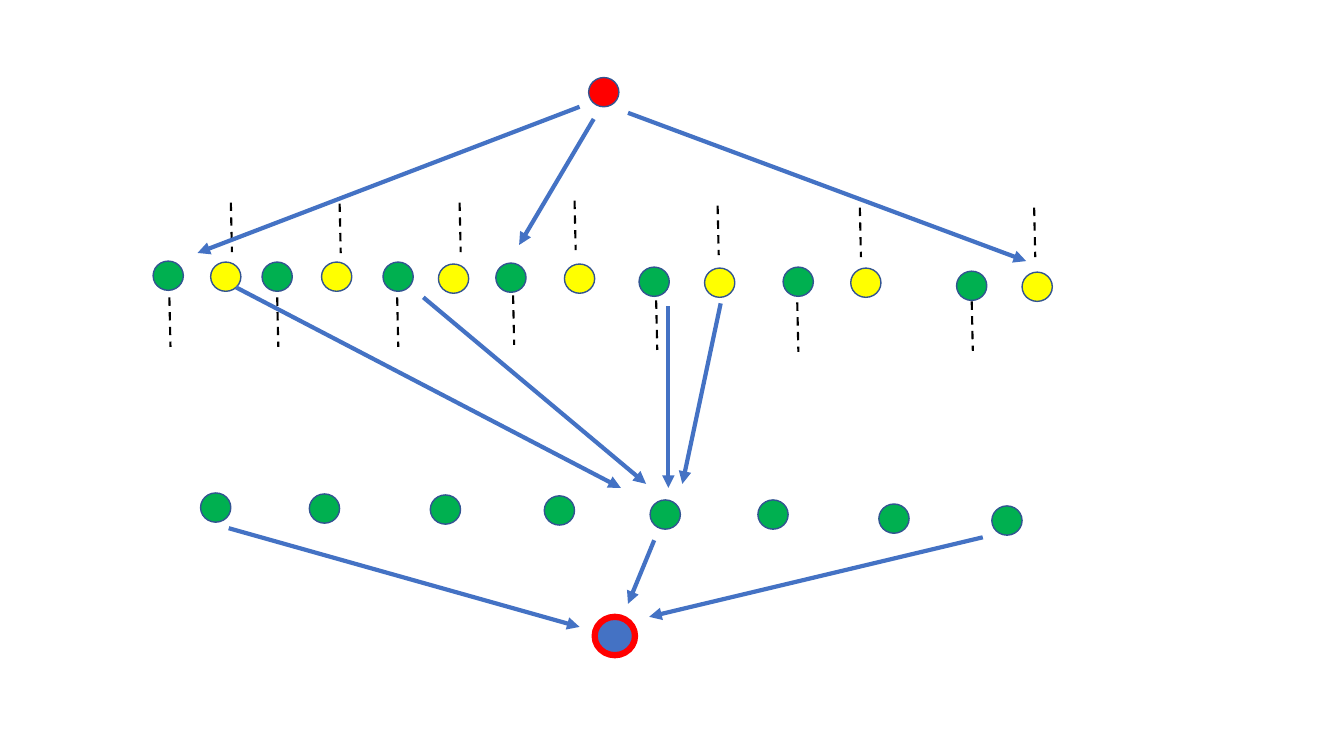
from lxml.etree import SubElement
from pptx import Presentation
from pptx.dml.color import RGBColor
from pptx.enum.dml import MSO_LINE
from pptx.enum.shapes import MSO_CONNECTOR, MSO_SHAPE
from pptx.oxml.ns import qn
from pptx.util import Pt

RED = RGBColor(0xFF, 0x00, 0x00)
GREEN = RGBColor(0x00, 0xB0, 0x50)
YELLOW = RGBColor(0xFF, 0xFF, 0x00)
BLUE = RGBColor(0x44, 0x72, 0xC4)
NAVY = RGBColor(0x32, 0x54, 0x91)
BLACK = RGBColor(0x00, 0x00, 0x00)

# Left and top of each node; the middle layer alternates green and yellow.
SOURCE = (420.5, 55.4)
MIDDLE_NODES = [
    (109.4, 186.5), (150.5, 187.2), (187.2, 187.2), (229.7, 187.2),
    (273.6, 187.2), (313.2, 188.6), (354.2, 187.9), (403.2, 188.6),
    (456.5, 190.8), (503.3, 191.5), (559.4, 190.8), (607.7, 191.5),
    (683.3, 193.7), (730.1, 194.4),
]
LOWER_NODES = [
    (143.3, 352.1), (221, 352.8), (307.4, 353.5), (388.8, 354.2),
    (464.4, 357.1), (541.4, 357.1), (627.8, 360), (708.5, 361.4),
]
SINK = (424.8, 440.6)

# Upper end of each dashed stub.
STUBS_BELOW_GREEN = [
    (121, 212.4), (198, 212.4), (283.7, 212.4), (366.5, 211),
    (468.7, 214.6), (569.5, 216), (694.1, 215.3),
]
STUBS_ABOVE_YELLOW = [
    (164.9, 144.7), (242.6, 145.4), (328.3, 144.7), (410.4, 143.3),
    (512.6, 146.9), (614.2, 148.3), (738.7, 148.3),
]

ARROWS = [
    ((414, 76.3), (141.1, 180.7)),
    ((448.6, 80.6), (733, 186.5)),
    ((424.1, 85), (370.8, 175)),
    ((514.8, 216.7), (487.4, 345.6)),
    ((168.5, 205.2), (443.5, 348.5)),
    ((302.4, 212.4), (461.5, 345.6)),
    ((477.4, 218.9), (477.4, 348.5)),
    ((163.4, 377.3), (414, 447.8)),
    ((467.3, 385.9), (448.6, 431.3)),
    ((702, 383.8), (463.7, 440.6)),
]


class GraphPage:
    node_size = (21.6, 20.9)
    stub_run = (0.8, 35.4)

    def __init__(self, page):
        self.page = page

    def node(self, place, fill, size=node_size, outline=NAVY, weight=1):
        circle = self.page.shapes.add_shape(
            MSO_SHAPE.OVAL, *map(Pt, place), *map(Pt, size))
        circle.shadow.inherit = False
        circle.fill.solid()
        circle.fill.fore_color.rgb = fill
        circle.line.color.rgb = outline
        circle.line.width = Pt(weight)

    def line(self, start, end, color, weight):
        connector = self.page.shapes.add_connector(
            MSO_CONNECTOR.STRAIGHT, *map(Pt, start), *map(Pt, end))
        connector.line.color.rgb = color
        connector.line.width = Pt(weight)
        SubElement(connector._element.spPr, qn("a:effectLst"))
        return connector

    def stub(self, start):
        end = [begin + run for begin, run in zip(start, self.stub_run)]
        self.line(start, end, BLACK, 1.5).line.dash_style = MSO_LINE.DASH

    def arrow(self, start, end):
        connector = self.line(start, end, BLUE, 3)
        SubElement(connector.line._get_or_add_ln(), qn("a:tailEnd"), type="triangle")


def main():
    deck = Presentation()
    deck.slide_width, deck.slide_height = Pt(960), Pt(540)
    graph = GraphPage(deck.slides.add_slide(deck.slide_layouts[6]))

    graph.node(SOURCE, RED)
    for index, place in enumerate(MIDDLE_NODES):
        graph.node(place, YELLOW if index % 2 else GREEN)
    for start in STUBS_BELOW_GREEN + STUBS_ABOVE_YELLOW:
        graph.stub(start)
    for place in LOWER_NODES:
        graph.node(place, GREEN)
    graph.node(SINK, BLUE, size=(28.8, 27.4), outline=RED, weight=4.5)
    for start, end in ARROWS:
        graph.arrow(start, end)

    deck.save("out.pptx")


if __name__ == "__main__":
    main()
